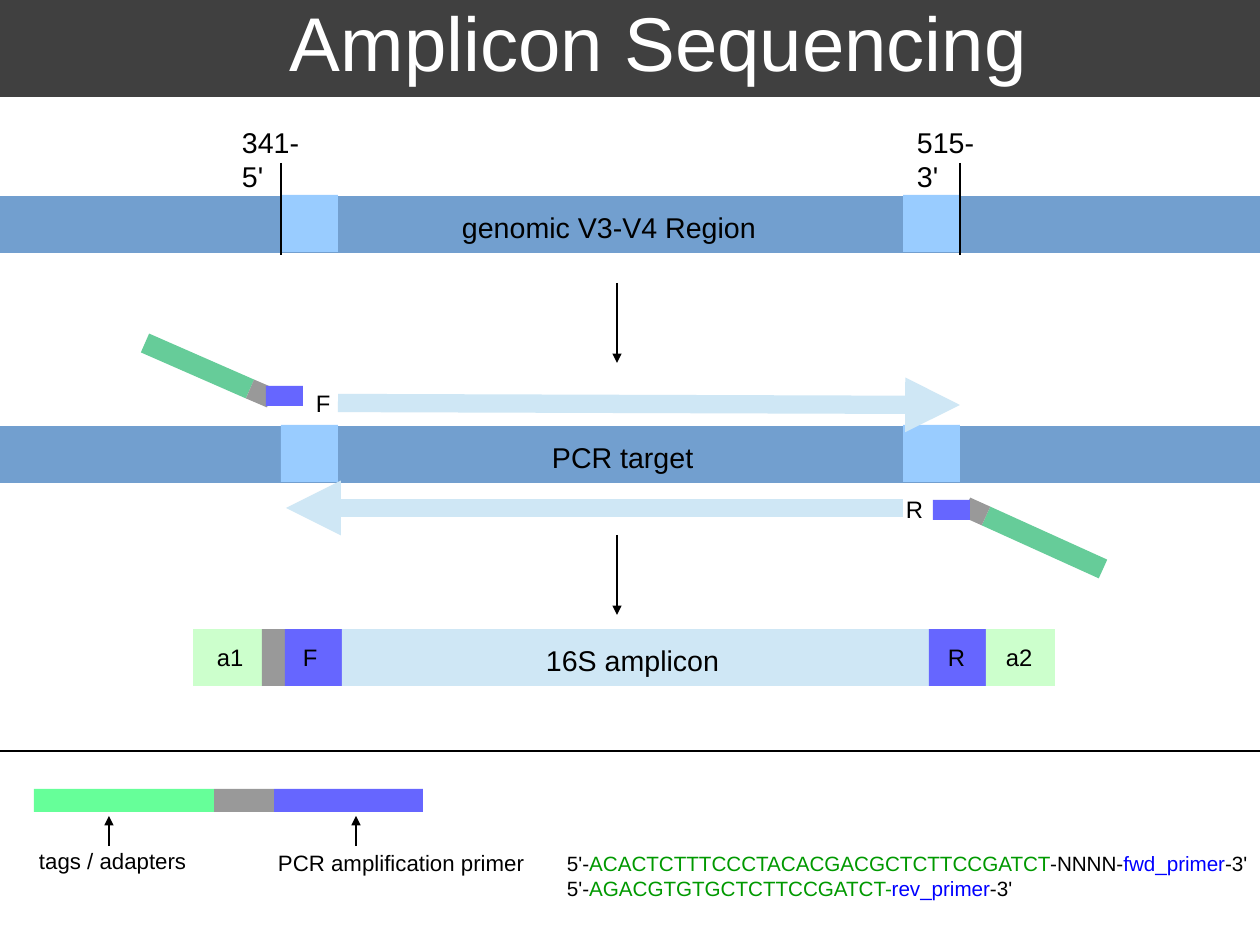
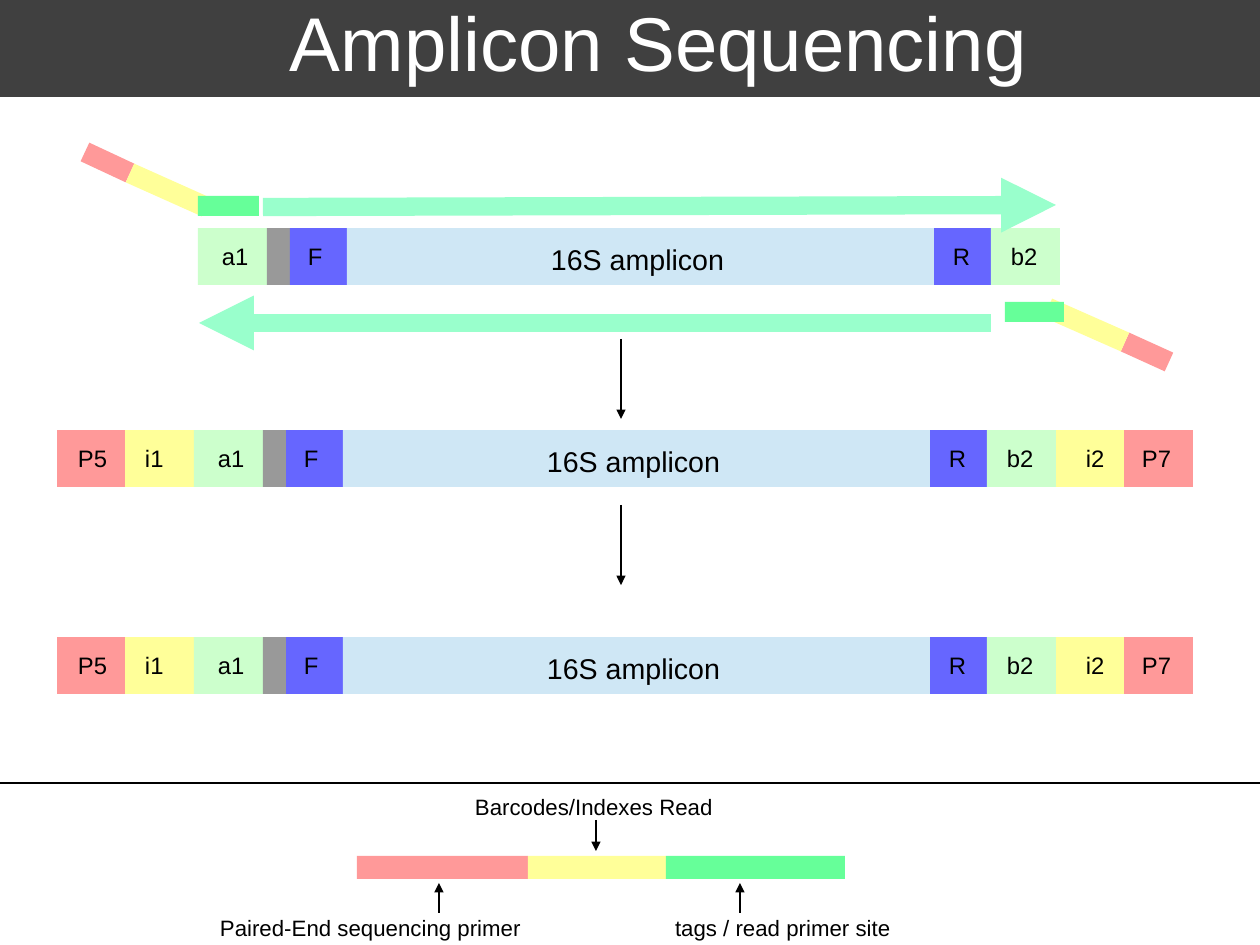
from itertools import pairwise

from lxml.etree import SubElement
from pptx import Presentation
from pptx.dml.color import RGBColor
from pptx.enum.shapes import MSO_CONNECTOR, MSO_SHAPE
from pptx.oxml.ns import qn
from pptx.util import Emu, Pt

PX = 8000  # EMU per px
WIDTH, HEIGHT = 1260, 945

BLACK = RGBColor(0x00, 0x00, 0x00)
WHITE = RGBColor(0xFF, 0xFF, 0xFF)
CHARCOAL = RGBColor(0x40, 0x40, 0x40)
GRAY = RGBColor(0x99, 0x99, 0x99)
GENOME_BLUE = RGBColor(0x72, 0x9F, 0xCF)
SITE_BLUE = RGBColor(0x99, 0xCC, 0xFF)
AMPLICON_BLUE = RGBColor(0xCF, 0xE7, 0xF5)
PRIMER_BLUE = RGBColor(0x66, 0x66, 0xFF)
ADAPTER_GREEN = RGBColor(0xCC, 0xFF, 0xCC)
TAIL_GREEN = RGBColor(0x66, 0xCC, 0x99)
TAG_GREEN = RGBColor(0x66, 0xFF, 0x99)
MINT = RGBColor(0x99, 0xFF, 0xCC)
YELLOW = RGBColor(0xFF, 0xFF, 0x99)
RED = RGBColor(0xFF, 0x99, 0x99)
SEQUENCE_GREEN = RGBColor(0x00, 0x99, 0x00)
SEQUENCE_BLUE = RGBColor(0x00, 0x00, 0xFF)

TITLE, REGION, SEGMENT, NOTE, SEQUENCE = (
    {"name": "Arial", "size": Pt(points)} for points in (48, 18, 15, 14, 13))

BAR_HEIGHT = 57


def px(*lengths):
    return [Emu(length * PX) for length in lengths]


def set_format(target, values):
    for name, value in values.items():
        setattr(target, name, value)


def add_label(slide, left, top, width, height, lines, style, color=BLACK):
    """Add left-aligned text; each line is a string or a list of (text, color)."""
    frame = slide.shapes.add_textbox(*px(left, top, width, height)).text_frame
    inset, edge, none = px(11, 6, 0)
    set_format(frame, {"word_wrap": True, "margin_left": inset, "margin_right": none,
                       "margin_top": edge, "margin_bottom": edge})
    for index, line in enumerate(lines):
        paragraph = frame.add_paragraph() if index else frame.paragraphs[0]
        parts = [(line, color)] if isinstance(line, str) else line
        for text, part_color in parts:
            run = paragraph.add_run()
            run.text = text
            set_format(run.font, style)
            run.font.color.rgb = part_color


def add_bar(slide, left, top, width, height, color):
    shape = slide.shapes.add_shape(MSO_SHAPE.RECTANGLE, *px(left, top, width, height))
    shape.shadow.inherit = False
    shape.fill.solid()
    shape.fill.fore_color.rgb = color
    shape.line.fill.background()
    return shape


def add_line(slide, start, end, color=BLACK, points=0.75, arrow=False):
    connector = slide.shapes.add_connector(MSO_CONNECTOR.STRAIGHT, *px(*start, *end))
    connector.line.width = Pt(points)
    connector.line.color.rgb = color
    if arrow:
        line = connector._element.spPr.find(qn("a:ln"))
        SubElement(line, qn("a:tailEnd"), type="triangle")
    SubElement(connector._element.spPr, qn("a:effectLst"))


def add_strip(slide, left, top, height, segments):
    """Lay (width, color) segments side by side, some with (text, indent, style)."""
    for width, color, *label in segments:
        add_bar(slide, left, top, width, height, color)
        if label:
            text, indent, style = label
            add_label(slide, left + indent, top + 8, width - indent, 40, [text], style)
        left += width


def core_segments(reverse_adapter):
    return [(69, ADAPTER_GREEN, "a1", 13, SEGMENT), (23, GRAY),
            (57, PRIMER_BLUE, "F", 7, SEGMENT),
            (587, AMPLICON_BLUE, "16S amplicon", 193, REGION),
            (57, PRIMER_BLUE, "R", 8, SEGMENT),
            (69, ADAPTER_GREEN, reverse_adapter, 9, SEGMENT)]


def add_indexed_amplicon(slide, left, top):
    segments = [(68, RED, "P5", 10, SEGMENT), (69, YELLOW, "i1", 9, SEGMENT),
                *core_segments("b2"),
                (68, YELLOW, "i2", 19, SEGMENT), (69, RED, "P7", 7, SEGMENT)]
    add_strip(slide, left, top, BAR_HEIGHT, segments)


def add_genome_band(slide, top, text, text_left):
    add_bar(slide, 0, top, WIDTH, BAR_HEIGHT, GENOME_BLUE)
    for site_left in (281, 903):
        add_bar(slide, site_left, top - 1, 57, BAR_HEIGHT, SITE_BLUE)
    add_label(slide, text_left, top + 8, 330, 43, [text], REGION)


def add_primer(slide, left, top, width, color, tail_points, tail_colors):
    """Add a primer with a slanted tail whose points are relative to its corner."""
    points = [(left + x, top + y) for x, y in tail_points]
    for (start, end), tail_color in zip(pairwise(points), tail_colors):
        add_line(slide, start, end, tail_color, 12.95)
    add_bar(slide, left, top, width, 20, color)


def add_step_arrow(slide, left, top):
    add_line(slide, (left, top), (left, top + 80), arrow=True)


def add_legend(slide, left, top, segments, notes):
    """Add a colour strip and notes: text, text x and y, arrow x, start y and end y."""
    add_strip(slide, left, top, 23, segments)
    for text, text_x, text_y, arrow_x, start_y, end_y in notes:
        add_label(slide, left + text_x, top + text_y, 330, 36, [text], NOTE)
        add_line(slide, (left + arrow_x, top + start_y), (left + arrow_x, top + end_y),
                 arrow=True)


def add_base(presentation, divider_top):
    """Add a slide with the title band and the line above the legend."""
    slide = presentation.slides.add_slide(presentation.slide_layouts[6])
    band = add_bar(slide, 0, 0, WIDTH, 95, CHARCOAL)
    band.line.color.rgb = CHARCOAL
    band.line.width = Pt(2)
    add_label(slide, 279, -11, 840, 103, ["Amplicon Sequencing"], TITLE, WHITE)
    add_line(slide, (0, divider_top), (WIDTH, divider_top))
    return slide


def add_target_slide(presentation):
    slide = add_base(presentation, 751)
    add_genome_band(slide, 196, "genomic V3-V4 Region", 451)
    for text, text_left, marker in (("341-5'", 231, 281), ("515-3'", 906, 960)):
        add_label(slide, text_left, 119, 80, 80, [text], REGION)
        add_line(slide, (marker, 163), (marker, 255))

    add_genome_band(slide, 426, "PCR target", 541)
    tail_colors = (TAIL_GREEN, GRAY)
    add_primer(slide, 266, 386, 37, PRIMER_BLUE,
               [(-121, -43), (-16, 3), (5, 12)], tail_colors)
    add_primer(slide, 933, 500, 37, PRIMER_BLUE,
               [(170, 69), (53, 16), (33, 7)], tail_colors)
    add_label(slide, 305, 383, 37, 38, ["F"], SEGMENT)
    add_label(slide, 895, 489, 40, 38, ["R"], SEGMENT)
    add_line(slide, (338, 403), (960, 405), AMPLICON_BLUE, 11.5, arrow=True)
    add_line(slide, (903, 508), (286, 508), AMPLICON_BLUE, 11.5, arrow=True)

    for top in (283, 535):
        add_step_arrow(slide, 617, top)
    add_strip(slide, 193, 629, BAR_HEIGHT, core_segments("a2"))

    add_legend(slide, 34, 789, [(180, TAG_GREEN), (60, GRAY), (149, PRIMER_BLUE)],
               [("tags / adapters", -6, 52, 75, 57, 27),
                ("PCR amplification primer", 233, 54, 322, 57, 27)])
    add_label(slide, 556, 845, 704, 75, [
        [("5'-", BLACK), ("ACACTCTTTCCCTACACGACGCTCTTCCGATCT", SEQUENCE_GREEN),
         ("-NNNN-", BLACK), ("fwd_primer", SEQUENCE_BLUE), ("-3'", BLACK)],
        [("5'-", BLACK), ("AGACGTGTGCTCTTCCGATCT-", SEQUENCE_GREEN),
         ("rev_primer", SEQUENCE_BLUE), ("-3'", BLACK)],
    ], SEQUENCE)


def add_index_slide(presentation):
    slide = add_base(presentation, 783)
    add_strip(slide, 198, 228, BAR_HEIGHT, core_segments("b2"))
    tail_colors = (RED, YELLOW)
    add_primer(slide, 198, 196, 61, TAG_GREEN,
               [(-113, -44), (-68, -23), (8, 11)], tail_colors)
    add_primer(slide, 1005, 302, 59, TAG_GREEN,
               [(164, 60), (120, 40), (43, 6)], tail_colors)
    add_line(slide, (263, 207), (1056, 205), MINT, 11.5, arrow=True)
    add_line(slide, (991, 323), (199, 323), MINT, 11.5, arrow=True)

    for arrow_top, strip_top in ((339, 430), (505, 637)):
        add_step_arrow(slide, 621, arrow_top)
        add_indexed_amplicon(slide, 57, strip_top)

    add_legend(slide, 357, 856, [(171, RED), (138, YELLOW), (179, TAG_GREEN)],
               [("Paired-End sequencing primer", -148, 52, 82, 57, 27),
                ("Barcodes/Indexes Read", 107, -69, 239, -36, -5),
                ("tags / read primer site", 307, 52, 383, 57, 27)])


def main():
    presentation = Presentation()
    presentation.slide_width, presentation.slide_height = px(WIDTH, HEIGHT)
    add_target_slide(presentation)
    add_index_slide(presentation)
    presentation.save("out.pptx")


if __name__ == "__main__":
    main()
